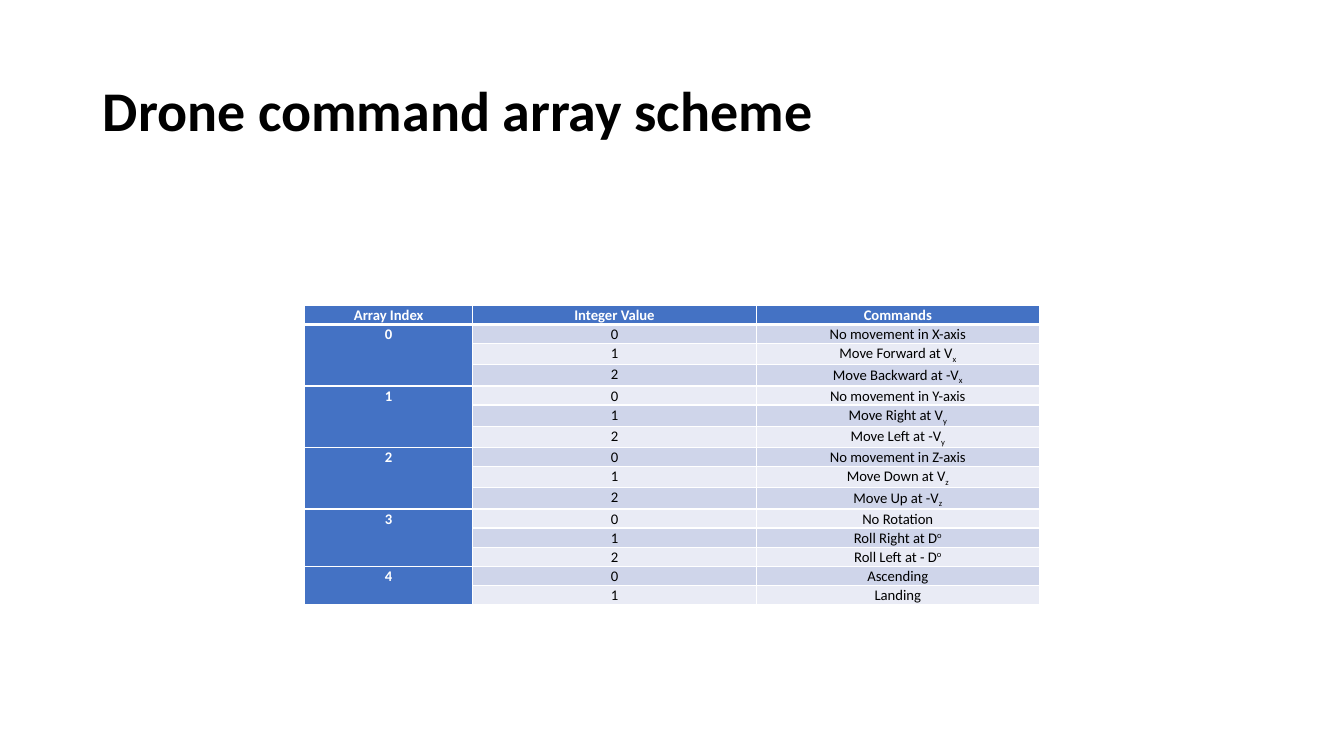
from pptx import Presentation
from pptx.dml.color import RGBColor as Rgb
from pptx.enum.text import MSO_ANCHOR as Anchor, MSO_AUTO_SIZE as Fit, PP_ALIGN as Align
from pptx.oxml import parse_xml
from pptx.oxml.ns import nsdecls
from pptx.util import Inches, Pt

COLORS = {"head": "4472C4", "dark": "CFD5EA", "light": "E9EBF5",
          "white": "FFFFFF", "black": "000000"}
FONT = "Calibri"
HEADS = ["Array Index", "Integer Value", "Commands"]
# Each command is its text, then an optional raised or lowered letter.
GROUPS = [
    [("No movement in X-axis",), ("Move Forward at V", "x"), ("Move Backward at -V", "x")],
    [("No movement in Y-axis",), ("Move Right at V", "y"), ("Move Left at -V", "y")],
    [("No movement in Z-axis",), ("Move Down at V", "z"), ("Move Up at -V", "z")],
    [("No Rotation",), ("Roll Right at D", "o"), ("Roll Left at - D", "o")],
    [("Ascending",), ("Landing",)],
]
SHIFTS = {"x": -25, "y": -25, "z": -25, "o": 30}
WIDTHS = [1.67, 2.81, 2.81]
ROW = 0.18


def style(para, size, color, bold, align, space):
    """Set the font and layout of a paragraph."""
    font = para.font
    font.name, font.size, font.bold = FONT, Pt(size), bold
    font.color.rgb = Rgb.from_string(COLORS[color])
    para.alignment, para.line_spacing = align, space


def add_lines(cell, row):
    """Draw white cell borders, thick between header and body."""
    thick = {"T": 3 if row == 1 else 1, "B": 3 if row == 0 else 1}
    for side in "LRTB":
        cell._tc.get_or_add_tcPr().append(parse_xml(
            f'<a:ln{side} {nsdecls("a")} w="{Pt(thick.get(side, 1))}"><a:solidFill>'
            f'<a:srgbClr val="{COLORS["white"]}"/></a:solidFill></a:ln{side}>'))


def fill_cell(grid, row, col, text="", mark=None):
    """Write and format one cell, with an optional shifted letter."""
    cell = grid.cell(row, col)
    is_head = row == 0 or col == 0
    cell.margin_left = cell.margin_right = Inches(0.07)
    cell.margin_top = cell.margin_bottom = 0
    add_lines(cell, row)
    back = "head" if is_head else "dark" if row % 2 else "light"
    cell.fill.solid()
    cell.fill.fore_color.rgb = Rgb.from_string(COLORS[back])
    para = cell.text_frame.paragraphs[0]
    style(para, 10.5, "white" if is_head else "black", is_head, Align.CENTER, 1.07)
    if text:
        para.add_run().text = text
    if mark:
        run = para.add_run()
        run.text = mark
        run.font._element.set("baseline", str(SHIFTS[mark] * 1000))


def add_title(slide, text):
    """Place the slide title."""
    title = slide.shapes.title
    title.left, title.top = Inches(0.92), Inches(0.4)
    title.width, title.height = Inches(11.5), Inches(1.45)
    frame = title.text_frame
    frame.text = text
    frame.auto_size, frame.vertical_anchor = Fit.NONE, Anchor.MIDDLE
    style(frame.paragraphs[0], 40, "black", True, Align.LEFT, 0.9)


def add_grid(slide):
    """Build the command table, one merged index cell per group."""
    count = 1 + sum(map(len, GROUPS))
    grid = slide.shapes.add_table(count, len(HEADS), Inches(3.02), Inches(3.03),
                                  Inches(sum(WIDTHS)), Inches(ROW * count)).table
    for col, width in enumerate(WIDTHS):
        grid.columns[col].width = Inches(width)
        fill_cell(grid, 0, col, HEADS[col])
    row = 1
    for index, group in enumerate(GROUPS):
        first = row
        for value, command in enumerate(group):
            fill_cell(grid, row, 0, str(index) if row == first else "")
            fill_cell(grid, row, 1, str(value))
            fill_cell(grid, row, 2, *command)
            row += 1
        grid.cell(first, 0).merge(grid.cell(row - 1, 0))


def main():
    """Build and save the slide."""
    deck = Presentation()
    deck.slide_width, deck.slide_height = Inches(13.33), Inches(7.5)
    slide = deck.slides.add_slide(deck.slide_layouts[5])
    add_title(slide, "Drone command array scheme")
    add_grid(slide)
    deck.save("out.pptx")


main()
